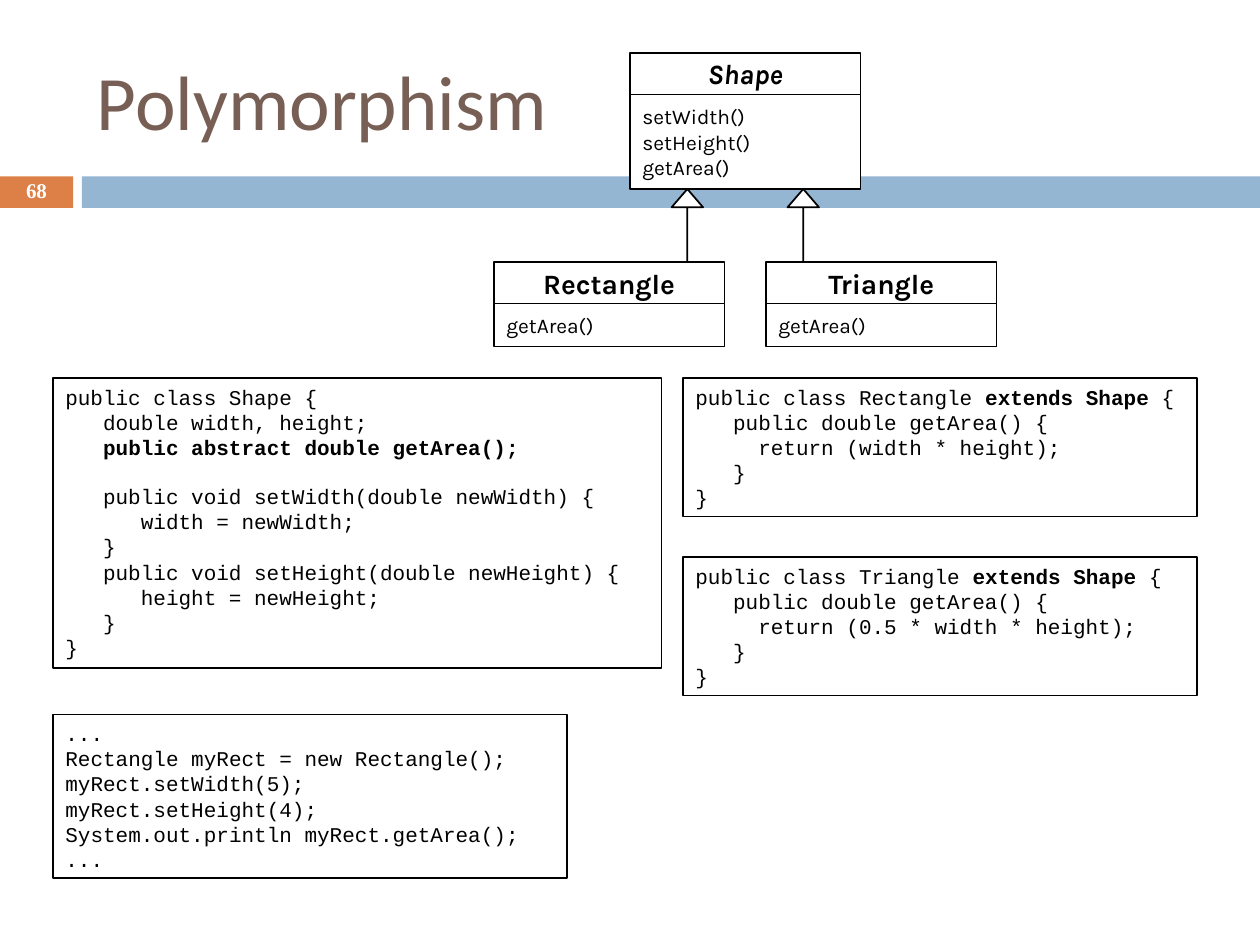
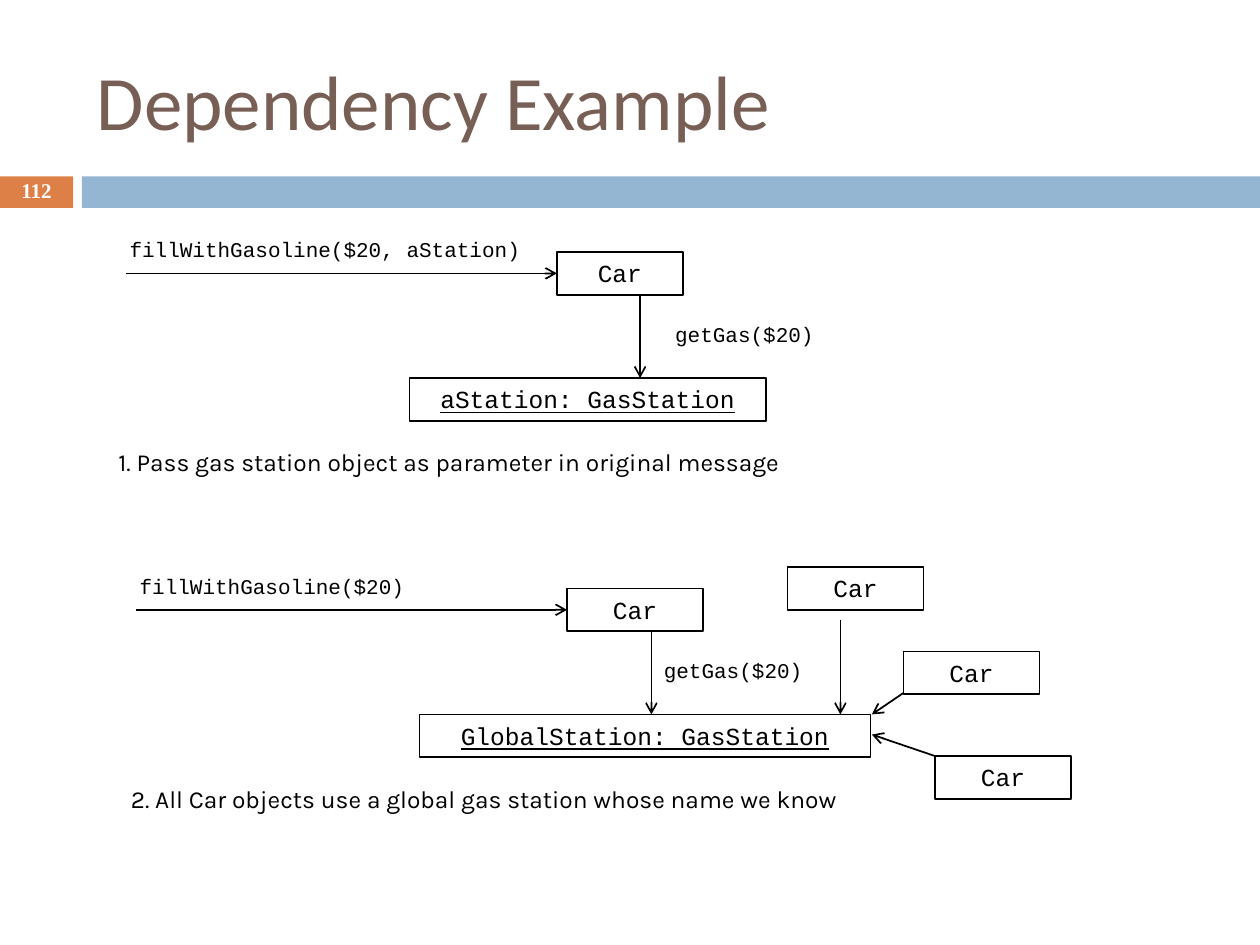
from lxml import etree
from pptx import Presentation
from pptx import util as u
from pptx.dml.color import RGBColor
from pptx.enum import shapes, text
from pptx.oxml import ns

INK, PAPER = "000000", "FFFFFF"
TITLE_INK, BADGE, BAND = "775F55", "DD8047", "94B6D2"

LEFT, CENTER = text.PP_ALIGN.LEFT, text.PP_ALIGN.CENTER
TOP, MIDDLE = text.MSO_ANCHOR.TOP, text.MSO_ANCHOR.MIDDLE

TITLE = {"name": "Calibri", "size": u.Pt(44)}
NUMBER = {"name": "Times New Roman", "size": u.Pt(12), "bold": True}
CLASS_NAME = {"name": "Karla", "size": u.Pt(16), "bold": True}
METHOD = {"name": "Karla", "size": u.Pt(12)}
CAPTION = {"name": "Karla", "size": u.Pt(14)}
CODE = {"name": "Courier New", "size": u.Pt(12)}
OBJECT = {"name": "Courier New", "size": u.Pt(14)}
CODE_LINE = u.Pt(13.6)

CLASS_WIDTH, HEADER_HEIGHT = 1.83, 0.33
OBJECT_HEIGHT = 0.34

SHAPE_CODE = """public class Shape {
   double width, height;
   **public abstract double getArea();**

   public void setWidth(double newWidth) {
      width = newWidth;
   }
   public void setHeight(double newHeight) {
      height = newHeight;
   }
}"""
SUBCLASS_CODE = """public class %s **extends Shape** {
   public double getArea() {
     return (%s);
   }
}"""
USAGE_CODE = """...
Rectangle myRect = new Rectangle();
myRect.setWidth(5);
myRect.setHeight(4);
System.out.println myRect.getArea();
..."""


def rgb(color):
    return RGBColor.from_string(color)


def set_format(target, values):
    for name, value in values.items():
        setattr(target, name, value)


def write(box, content, font, color=INK, align=LEFT, anchor=TOP, wrap=True):
    """Fill a box line by line; ** toggles bold, an empty line adds space."""
    frame = box.text_frame
    set_format(frame, {"word_wrap": wrap, "vertical_anchor": anchor})
    gap = None
    for index, line in enumerate(content.split("\n")):
        if not line:
            gap = CODE_LINE
            continue
        para = frame.paragraphs[0] if index == 0 else frame.add_paragraph()
        set_format(para, {"alignment": align, "space_before": gap})
        gap = None
        for part, words in enumerate(line.split("**")):
            if words:
                span = para.add_run()
                span.text = words
                set_format(span.font, font)
                span.font.color.rgb = rgb(color)
                if part % 2:
                    span.font.bold = True


def add_text(page, left, top, width, height, content, font, **layout):
    box = page.shapes.add_textbox(*map(u.Inches, (left, top, width, height)))
    write(box, content, font, **layout)
    return box


def add_shape(page, left, top, width, height, fill=None, line=INK,
              kind=shapes.MSO_SHAPE.RECTANGLE):
    shape = page.shapes.add_shape(
        kind, *map(u.Inches, (left, top, width, height)))
    shape.shadow.inherit = False
    if fill:
        shape.fill.solid()
        shape.fill.fore_color.rgb = rgb(fill)
    else:
        shape.fill.background()
    if line:
        shape.line.color.rgb = rgb(line)
        shape.line.width = u.Pt(1)
    else:
        shape.line.fill.background()
    return shape


def add_page(deck, title, number):
    page = deck.slides.add_slide(deck.slide_layouts[6])
    add_shape(page, 0, 1.4, 0.58, 0.25, BADGE, None)
    add_shape(page, 0.65, 1.4, 9.35, 0.25, BAND, None)
    add_text(page, 0.67, 0.25, 8.92, 1.08, title, TITLE,
             color=TITLE_INK, anchor=MIDDLE)
    badge = add_text(page, 0, 1.39, 0.58, 0.27, number, NUMBER,
                     color=PAPER, align=CENTER, anchor=MIDDLE)
    badge.text_frame.paragraphs[0].line_spacing = 0.8
    return page


def add_class(page, left, top, name, methods, height, italic=False):
    header = add_shape(page, left, top, CLASS_WIDTH, HEADER_HEIGHT, PAPER)
    write(header, name, {**CLASS_NAME, "italic": italic},
          align=CENTER, anchor=MIDDLE)
    body = add_shape(page, left, top + HEADER_HEIGHT, CLASS_WIDTH, height, PAPER)
    write(body, methods, METHOD, anchor=MIDDLE)


def add_inheritance(page, left):
    """Draw a hollow triangle on a thin stem, pointing up to the base class."""
    arrow = add_shape(page, left, 1.5, 0.25, 0.58, PAPER,
                      kind=shapes.MSO_SHAPE.DOWN_ARROW)
    arrow.rotation = 180
    arrow.adjustments[0], arrow.adjustments[1] = 0, 0.58


def add_code(page, left, top, width, height, code):
    write(add_shape(page, left, top, width, height), code, CODE)


def add_object(page, left, top, width, name, underline=False):
    box = add_shape(page, left, top, width, OBJECT_HEIGHT)
    write(box, name, {**OBJECT, "underline": underline}, align=CENTER)


def add_label(page, left, top, width, content, font=CODE):
    add_text(page, left, top, width, 0.3, content, font, wrap=False)


def add_arrow(page, *ends):
    arrow = page.shapes.add_connector(
        shapes.MSO_CONNECTOR.STRAIGHT, *map(u.Inches, ends))
    arrow.line.color.rgb = rgb(INK)
    arrow.line.width = u.Pt(1)
    etree.SubElement(arrow.line._get_or_add_ln(), ns.qn("a:tailEnd"), type="arrow")
    etree.SubElement(arrow._element.spPr, ns.qn("a:effectLst"))


def build_polymorphism(deck):
    page = add_page(deck, "Polymorphism", "68")
    for left, name in ((3.92, "Rectangle"), (6.08, "Triangle")):
        add_class(page, left, 2.08, name, "getArea()", 0.34)
    add_class(page, 5, 0.42, "Shape", "setWidth()\nsetHeight()\ngetArea()",
              0.75, italic=True)
    for left in (5.33, 6.25):
        add_inheritance(page, left)

    add_code(page, 0.42, 3, 4.83, 2.3, SHAPE_CODE)
    add_code(page, 0.42, 5.67, 4.08, 1.3, USAGE_CODE)
    for top, name, area in ((3, "Rectangle", "width * height"),
                            (4.42, "Triangle", "0.5 * width * height")):
        add_code(page, 5.42, top, 4.08, 1.1, SUBCLASS_CODE % (name, area))


def build_dependency(deck):
    page = add_page(deck, "Dependency Example", "112")
    for left, top, width, name in ((3.25, 3, 2.83, "aStation"),
                                   (3.33, 5.67, 3.58, "GlobalStation")):
        add_object(page, left, top, width, name + ": GasStation", underline=True)
    for left, top, width in ((4.42, 2, 1), (4.5, 4.67, 1.08), (6.25, 4.5, 1.08),
                             (7.17, 5.17, 1.08), (7.42, 6, 1.08)):
        add_object(page, left, top, width, "Car")

    # Each scenario: the message to the car, then the car's call to its station
    for top, start, car, call in ((2, 1, 4.42, 5.08), (4.67, 1.08, 4.5, 5.17)):
        add_arrow(page, start, top + 0.17, car, top + 0.17)
        add_arrow(page, call, top + 0.33, call, top + 1)
    for ends in ((6.67, 4.92, 6.67, 5.67), (7.17, 5.5, 6.92, 5.67),
                 (7.42, 6, 6.92, 5.83)):
        add_arrow(page, *ends)

    add_label(page, 0.93, 1.83, 3.3, "fillWithGasoline($20, aStation)")
    add_label(page, 1.01, 4.5, 2.3, "fillWithGasoline($20)")
    for left, top in ((5.26, 2.5), (5.17, 5.17)):
        add_label(page, left, top, 1.3, "getGas($20)")
    add_label(page, 0.84, 3.5, 5.61,
              "1. Pass gas station object as parameter in original message", CAPTION)
    add_label(page, 0.94, 6.17, 6,
              "2. All Car objects use a global gas station whose name we know", CAPTION)


def main():
    deck = Presentation()
    deck.slide_width, deck.slide_height = u.Inches(10), u.Inches(7.5)
    build_polymorphism(deck)
    build_dependency(deck)
    deck.save("out.pptx")


if __name__ == "__main__":
    main()
